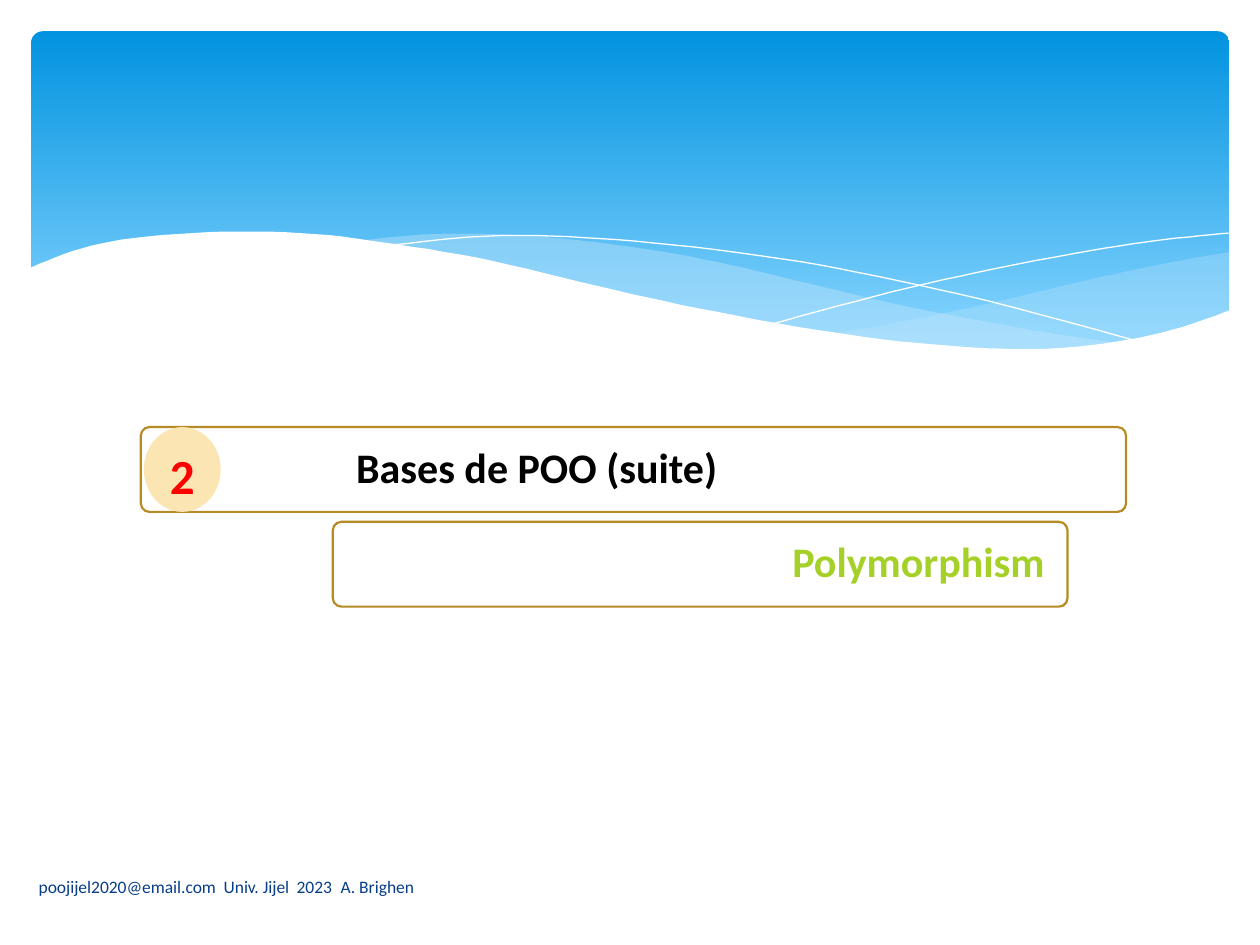
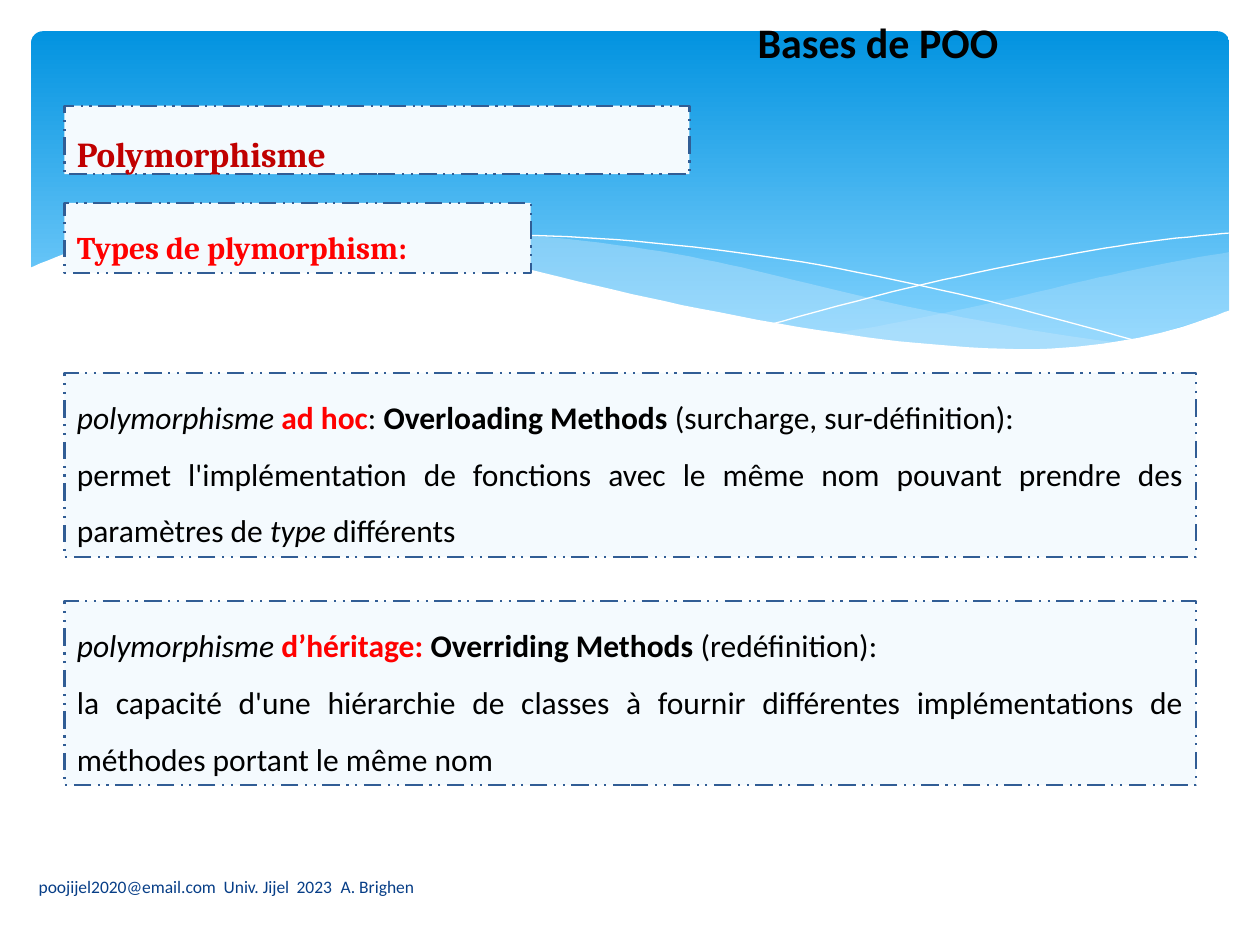
from lxml.etree import SubElement
from pptx import Presentation
from pptx.dml.color import RGBColor
from pptx.enum.dml import MSO_LINE as Dash
from pptx.enum.shapes import MSO_SHAPE as Kind
from pptx.enum.text import MSO_ANCHOR as Anchor, MSO_AUTO_SIZE as Fit, PP_ALIGN as Align
from pptx.oxml.ns import qn
from pptx.util import Cm, Pt

BLACK = RGBColor(0x00, 0x00, 0x00)
WHITE = RGBColor(0xFF, 0xFF, 0xFF)
RED = RGBColor(0xFF, 0x00, 0x00)
DARK_RED = RGBColor(0xC0, 0x00, 0x00)
LIME = RGBColor(0xA5, 0xD0, 0x28)
GOLD = RGBColor(0xB6, 0x8B, 0x24)
CREAM = RGBColor(0xFB, 0xE6, 0xB3)
NAVY = RGBColor(0x07, 0x3E, 0x87)
BLUE = RGBColor(0x31, 0x5D, 0x95)
PALE = RGBColor(0xF4, 0xFA, 0xFE)
MIST = RGBColor(0xC6, 0xE7, 0xFC)
SKY_TOP = RGBColor(0x02, 0x93, 0xE0)
SKY_LOW = RGBColor(0x83, 0xD3, 0xFE)

BODY, SERIF = "Calibri", "Cambria"
FOOTER = "poojijel2020@email.com\tUniv. Jijel\t2023\tA. Brighen"
TABS = (3.73, 5.2, 6.09)
LEFT, WIDE = 1.3, 22.81

RIGHT_TOP = [(24.79, 5.08), (23.39, 5.33), (21.87, 5.66), (19.79, 6.15),
             (17.93, 6.53), (16.79, 6.73)]
RIGHT_LOW = [(16.79, 6.73), (18.92, 6.99), (20.68, 7.06), (22.78, 6.86), (24.79, 6.27)]
LEFT_TOP = [(7.26, 4.85), (8.74, 4.72), (10.67, 4.75), (12.75, 4.98), (14.45, 5.28),
            (15.98, 5.64), (17.93, 6.1), (19.69, 6.45), (21.26, 6.73), (22.68, 6.93)]
LEFT_LOW = [(22.68, 6.93), (21.29, 7.06), (19, 7.01), (16.89, 6.76), (14.38, 6.3),
            (11.4, 5.64), (9.19, 5.16), (7.26, 4.85)]
FALL = [(7.85, 4.95), (9.22, 4.8), (10.57, 4.75), (12.42, 4.83), (14.78, 5.08),
        (16.89, 5.41), (19.3, 5.92), (21.11, 6.38), (23.04, 6.91)]
RISE = [(15.57, 6.53), (17.65, 5.97), (19.71, 5.49), (22, 5.05), (23.47, 4.83),
        (24.77, 4.7)]
CREST = [(0.58, 5.41), (1.5, 5.05), (2.69, 4.8), (4.5, 4.67), (6.35, 4.72), (8.03, 4.93),
         (9.93, 5.26), (12.07, 5.77), (14.1, 6.22), (16.46, 6.65), (18.44, 6.91),
         (20.55, 7.04), (22.23, 6.93), (23.62, 6.65), (24.82, 6.25)]
BASE = [(24.82, 8.36), (0.58, 8.36)]


def bend(knots, steps=6):
    """Return points on a smooth curve through the knots."""
    ends = [knots[0], *knots, knots[-1]]
    dots = []
    for a, b, c, d in zip(ends, ends[1:], ends[2:], ends[3:]):
        for step in range(steps):
            t = step / steps
            dots.append(tuple(
                q + t / 2 * (r - p + t * (2 * p - 5 * q + 4 * r - s + t * (3 * (q - r) + s - p)))
                for p, q, r, s in zip(a, b, c, d)))
    return dots + [knots[-1]]


def paint(shape, fill=None, line=None, width=1.25):
    """Set the fill and line of a shape and drop its shadow."""
    shape.shadow.inherit = False
    if fill is None:
        shape.fill.background()
    else:
        shape.fill.solid()
        shape.fill.fore_color.rgb = fill
    if line is None:
        shape.line.fill.background()
    else:
        shape.line.color.rgb = line
        shape.line.width = Pt(width)


def trace(slide, dots, fill=None, line=None, alpha=None):
    """Draw a filled wave or an open thin line through the dots."""
    grid = [(x * 100, y * 100) for x, y in dots]
    pen = slide.shapes.build_freeform(*grid[0], scale=Cm(0.01))
    pen.add_line_segments(grid[1:], close=fill is not None)
    wave = pen.convert_to_shape()
    paint(wave, fill, line, 0)
    if alpha:
        tint = next(wave.element.iter(qn("a:srgbClr")))
        SubElement(tint, qn("a:alpha")).set("val", str(alpha * 1000))


def add_box(slide, kind, box, fill=None, line=None):
    """Add a preset shape at a box given in centimetres."""
    shape = slide.shapes.add_shape(kind, *map(Cm, box))
    paint(shape, fill, line)
    return shape


def add_sky(slide):
    """Draw the blue band with its waves."""
    sky = add_box(slide, Kind.ROUNDED_RECTANGLE, (0.63, 0.63, 24.15, 6.86), SKY_TOP)
    sky.adjustments[0] = 0.034
    sky.fill.gradient()
    sky.fill.gradient_angle = 270
    for stop, tone, spot in zip(sky.fill.gradient_stops, (SKY_TOP, SKY_LOW), (0, 0.9)):
        stop.color.rgb = tone
        stop.position = spot
    trace(slide, bend(RIGHT_TOP) + bend(RIGHT_LOW), MIST, alpha=29)
    trace(slide, bend(LEFT_TOP) + bend(LEFT_LOW), MIST, alpha=40)
    trace(slide, bend(FALL), line=WHITE)
    trace(slide, bend(RISE), line=WHITE)
    trace(slide, bend(CREST) + BASE, WHITE)


def style(run, size, color, bold=False, face=BODY, italic=False):
    """Format one run."""
    font = run.font
    font.name, font.size, font.bold, font.italic = face, Pt(size), bold, italic
    font.color.rgb = color


def write(shape, text, size, color, bold=True, face=BODY, align=Align.LEFT,
          anchor=Anchor.TOP, space=None):
    """Put one formatted paragraph in a shape."""
    frame = shape.text_frame
    frame.text = text
    frame.word_wrap = True
    frame.auto_size = Fit.NONE
    frame.vertical_anchor = anchor
    para = frame.paragraphs[0]
    para.alignment = align
    if space:
        para.line_spacing = space
        para.space_before = Pt(0)
    for run in para.runs:
        style(run, size, color, bold, face)


def raise_to(holder, box):
    """Move a placeholder to a box, in front of the other shapes."""
    holder.left, holder.top, holder.width, holder.height = map(Cm, box)
    holder.element.getparent().append(holder.element)


def add_head(slide, holder, box, text, color, align, pads):
    """Frame a placeholder with a gold rounded outline."""
    rim = add_box(slide, Kind.ROUNDED_RECTANGLE, box, WHITE, GOLD)
    rim.adjustments[0] = 0.1
    raise_to(holder, box)
    write(holder, text, 24, color, align=align, anchor=Anchor.MIDDLE, space=0.9)
    frame = holder.text_frame
    frame.margin_left, frame.margin_right = map(Cm, pads)


def add_card(slide, box):
    """Add a pale box with a dashed outline."""
    card = add_box(slide, Kind.RECTANGLE, box, PALE, BLUE)
    card.line.dash_style = Dash.DASH_DOT_DOT
    return card


def add_label(slide, box, text, size, color):
    """Add a dashed box with a serif heading."""
    write(add_card(slide, box), text, size, color, face=SERIF,
          align=Align.JUSTIFY, space=1.5)


def add_note(slide, top, lines):
    """Add a dashed box with paragraphs of mixed runs."""
    frame = add_card(slide, (LEFT, top, WIDE, 3.71)).text_frame
    frame.word_wrap = True
    frame.vertical_anchor = Anchor.TOP
    for num, parts in enumerate(lines):
        para = frame.add_paragraph() if num else frame.paragraphs[0]
        para.alignment = Align.JUSTIFY
        para.line_spacing = 1.5
        for text, look in parts:
            run = para.add_run()
            run.text = text
            style(run, 18, RED if "r" in look else BLACK, "b" in look, italic="i" in look)


def add_foot(slide):
    """Add the footer, its parts set apart by tab stops."""
    foot = slide.shapes.add_textbox(*map(Cm, (0.53, 17.37, 10.52, 1.02)))
    write(foot, FOOTER, 10, NAVY, bold=False, anchor=Anchor.MIDDLE)
    para = foot.element.find(".//" + qn("a:pPr"))
    stops = SubElement(para, qn("a:tabLst"))
    for pos in TABS:
        tab = SubElement(stops, qn("a:tab"))
        tab.set("pos", str(int(Cm(pos))))
        tab.set("algn", "l")


def add_page(deck, layout):
    """Add a slide with the shared band and footer."""
    slide = deck.slides.add_slide(deck.slide_layouts[layout])
    add_sky(slide)
    add_foot(slide)
    return slide


def build_cover(deck):
    """Build the chapter slide."""
    slide = add_page(deck, 0)
    title, sub = slide.placeholders
    add_head(slide, title, (2.84, 8.61, 19.86, 1.71), "Bases de POO (suite)",
             BLACK, Align.LEFT, (4.34, 0.25))
    badge = add_box(slide, Kind.OVAL, (2.9, 8.61, 1.55, 1.71), CREAM)
    write(badge, "2", 28, RED, align=Align.CENTER)
    add_head(slide, sub, (6.71, 10.52, 14.81, 1.71), "Polymorphism",
             LIME, Align.RIGHT, (4.34, 0.46))


def build_types(deck):
    """Build the slide on the kinds of polymorphism."""
    slide = add_page(deck, 5)
    add_label(slide, (LEFT, 4.09, 9.4, 1.41), "Types de plymorphism:", 18, RED)
    add_label(slide, (LEFT, 2.13, 12.6, 1.38), "Polymorphisme", 20, DARK_RED)
    title = slide.shapes.title
    raise_to(title, (12.9, 0.33, 9.6, 1.17))
    write(title, "Bases de POO", 24, BLACK, align=Align.CENTER, space=0.9)
    add_note(slide, 7.52, [
        [("polymorphisme ", "i"), ("ad hoc", "rb"), (": ", ""),
         ("Overloading Methods ", "b"), ("(surcharge, sur-définition):", "")],
        [("permet l'implémentation de fonctions avec le même nom pouvant prendre "
          "des paramètres de ", ""), ("type", "i"), (" différents", "")]])
    add_note(slide, 12.12, [
        [("polymorphisme ", "i"), ("d’héritage: ", "rb"),
         ("Overriding Methods ", "b"), ("(redéfinition):", "")],
        [("la capacité d'une hiérarchie de classes à fournir différentes "
          "implémentations de méthodes portant le même nom", "")]])


def main():
    """Build and save the deck."""
    deck = Presentation()
    deck.slide_width, deck.slide_height = Cm(25.4), Cm(19.05)
    build_cover(deck)
    build_types(deck)
    deck.save("out.pptx")


if __name__ == "__main__":
    main()
